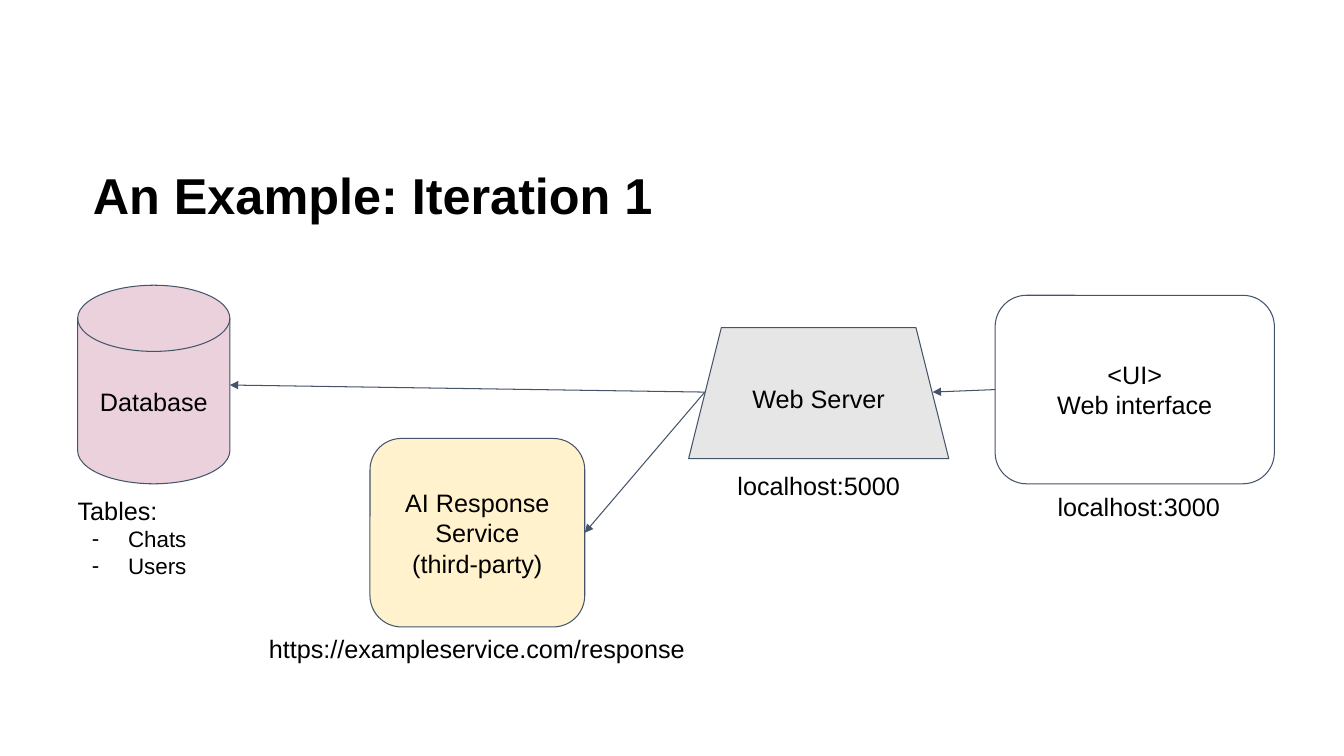
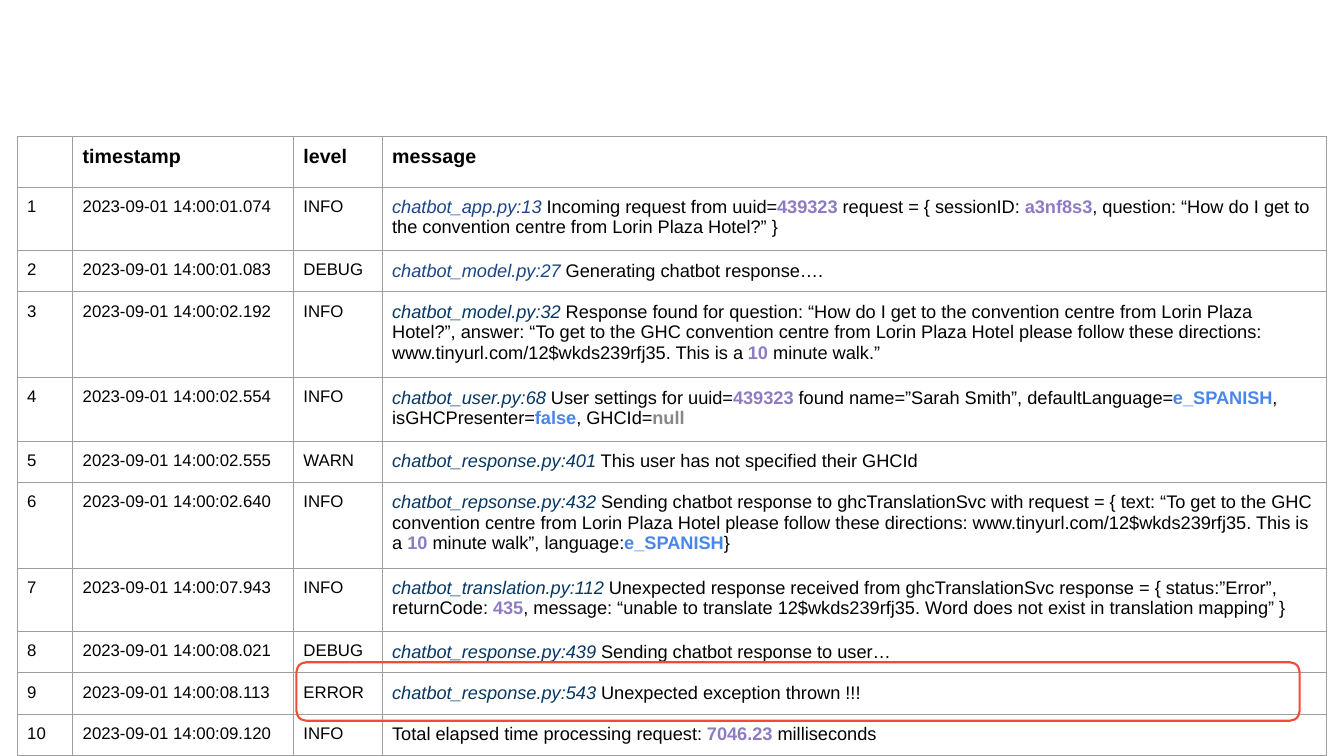
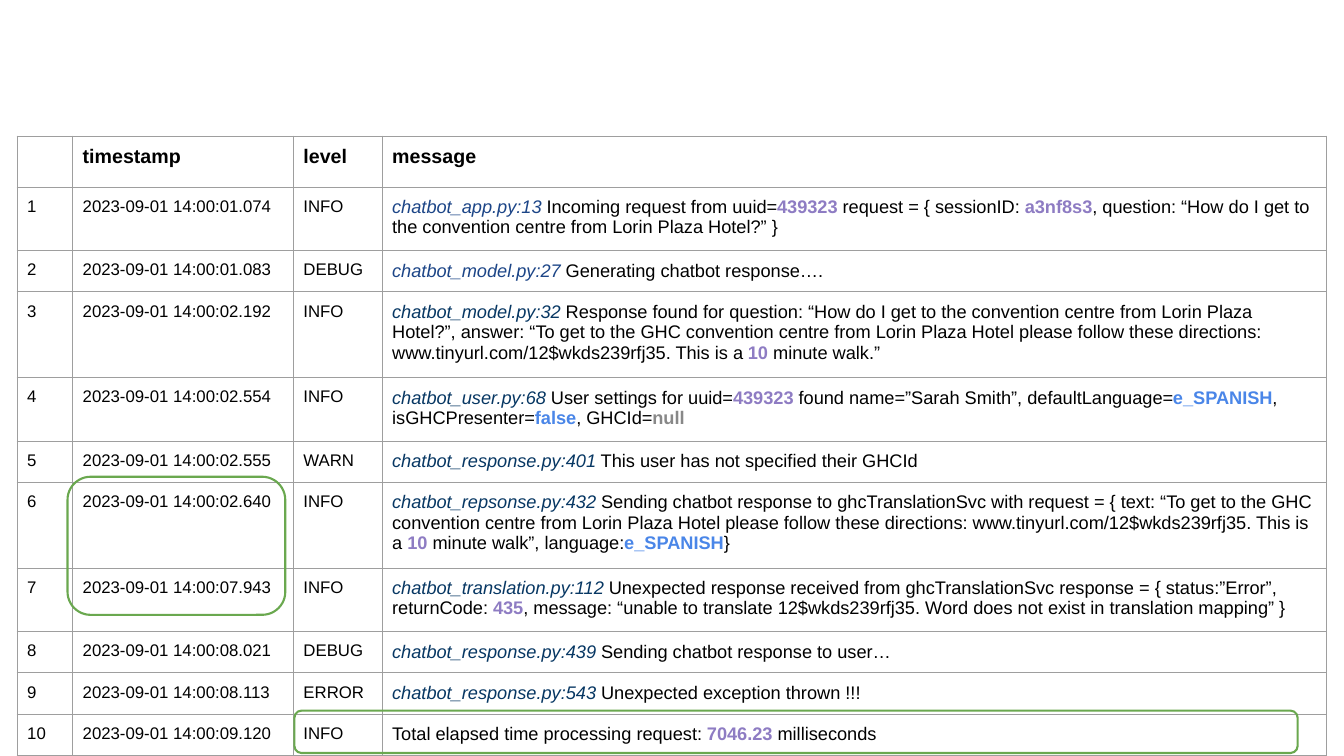
from dataclasses import dataclass
from typing import NamedTuple

from lxml import etree
from pptx import Presentation
from pptx.dml.color import RGBColor
from pptx.enum.shapes import MSO_CONNECTOR as Connector, MSO_SHAPE as Shape
from pptx.enum.text import MSO_ANCHOR as Anchor, MSO_AUTO_SIZE as AutoSize, PP_ALIGN as Align
from pptx.oxml.ns import qn
from pptx.util import Inches, Pt

FONT = "Arial"
BLACK, WHITE, SLATE, GRID = "000000", "FFFFFF", "44546A", "9E9E9E"
PINK, CREAM, SILVER = "EAD1DC", "FFF2CC", "E7E6E6"
BLUE, NAVY, PURPLE, SKY, GREY = "1C4587", "073763", "8E7CC3", "4A86E8", "888888"
RED, GREEN = "F24A38", "6AA84F"


class Area(NamedTuple):
    left: float
    top: float
    width: float
    height: float


@dataclass(frozen=True)
class Node:
    name: str
    kind: Shape
    area: Area
    fill: str
    lines: tuple[str, ...]


@dataclass(frozen=True)
class Arrow:
    start: tuple[float, float]
    end: tuple[float, float]
    begin_node: str = ""
    end_node: str = ""


@dataclass(frozen=True)
class Span:
    text: str
    color: str = BLACK
    bold: bool = False
    italic: bool = False


@dataclass(frozen=True)
class LogEntry:
    time: str
    level: str
    line_count: int
    message: tuple[Span, ...]


@dataclass(frozen=True)
class Highlight:
    area: Area
    color: str


def source(text: str, color: str = NAVY) -> Span:
    return Span(text, color, italic=True)


def number(text: str) -> Span:
    return Span(text, PURPLE, bold=True)


def constant(text: str, color: str = SKY) -> Span:
    return Span(text, color, bold=True)


NODES = (
    Node("database", Shape.FLOWCHART_MAGNETIC_DISK, Area(0.77, 2.83, 1.51, 1.97), PINK, ("Database",)),
    Node("ui", Shape.ROUNDED_RECTANGLE, Area(9.87, 2.93, 2.77, 1.87), WHITE, ("<UI>", "Web interface")),
    Node("ai", Shape.ROUNDED_RECTANGLE, Area(3.67, 4.35, 2.13, 1.87), CREAM,
         ("AI Response Service", "(third-party)")),
    Node("server", Shape.TRAPEZOID, Area(6.83, 3.25, 2.58, 1.3), SILVER, ("Web Server",)),
)
SERVER_LEFT = (6.99, 3.89)
ARROWS = (
    Arrow(SERVER_LEFT, (2.28, 3.82)),
    Arrow(SERVER_LEFT, (5.8, 5.28), end_node="ai"),
    Arrow((9.87, 3.87), (9.25, 3.89), begin_node="ui"),
)
ADDRESSES = (
    ("localhost:3000", Area(9.91, 4.87, 2.77, 1.23)),
    ("localhost:5000", Area(6.83, 4.67, 2.58, 1.23)),
    ("https://exampleservice.com/response", Area(2.36, 6.28, 4.74, 1.14)),
)

HEADINGS = ("", "timestamp", "level", "message")
COLUMN_WIDTHS = (0.55, 2.19, 0.88, 9.37)
HEADER_HEIGHT = 0.43
ROW_HEIGHTS = {1: 0.41, 2: 0.63, 3: 0.85}
LOG = (
    LogEntry("14:00:01.074", "INFO", 2, (
        source("chatbot_app.py:13", BLUE), Span(" Incoming request from uuid="), number("439323"),
        Span(" request = { sessionID: "), number("a3nf8s3"),
        Span(", question: “How do I get to the convention centre from Lorin Plaza Hotel?” }"))),
    LogEntry("14:00:01.083", "DEBUG", 1, (
        source("chatbot_model.py:27", BLUE), Span(" Generating chatbot response…."))),
    LogEntry("14:00:02.192", "INFO", 3, (
        source("chatbot_model.py:32"),
        Span(" Response found for question: “How do I get to the convention centre from Lorin Plaza "
             "Hotel?”, answer: “To get to the GHC convention centre from Lorin Plaza Hotel please "
             "follow these directions: www.tinyurl.com/12$wkds239rfj35. This is a "),
        number("10"), Span(" minute walk.”"))),
    LogEntry("14:00:02.554", "INFO", 2, (
        source("chatbot_user.py:68"), Span(" User settings for uuid="), number("439323"),
        Span(" found name=”Sarah Smith”, defaultLanguage="), constant("e_SPANISH"),
        Span(", isGHCPresenter="), constant("false"), Span(", GHCId="), constant("null", GREY))),
    LogEntry("14:00:02.555", "WARN", 1, (
        source("chatbot_response.py:401"), Span(" This user has not specified their GHCId"))),
    LogEntry("14:00:02.640", "INFO", 3, (
        source("chatbot_repsonse.py:432"),
        Span(" Sending chatbot response to ghcTranslationSvc with request = { text: “To get to the "
             "GHC convention centre from Lorin Plaza Hotel please follow these directions: "
             "www.tinyurl.com/12$wkds239rfj35. This is a "),
        number("10"), Span(" minute walk”, language:"), constant("e_SPANISH"), Span("}"))),
    LogEntry("14:00:07.943", "INFO", 2, (
        source("chatbot_translation.py:112"),
        Span(" Unexpected response received from ghcTranslationSvc response = { status:”Error”, "
             "returnCode: "),
        number("435"),
        Span(", message: “unable to translate 12$wkds239rfj35. Word does not exist in translation "
             "mapping” }"))),
    LogEntry("14:00:08.021", "DEBUG", 1, (
        source("chatbot_response.py:439 "), Span("Sending chatbot response to user…"))),
    LogEntry("14:00:08.113", "ERROR", 1, (
        source("chatbot_response.py:543 "), Span("Unexpected exception thrown !!!"))),
    LogEntry("14:00:09.120", "INFO", 1, (
        Span("Total elapsed time processing request: "), number("7046.23"), Span(" milliseconds"))),
)
LOG_SLIDES = (
    (Highlight(Area(2.94, 6.57, 9.95, 0.58), RED),),
    (Highlight(Area(2.92, 7.05, 9.95, 0.42), GREEN), Highlight(Area(0.67, 4.73, 2.16, 1.37), GREEN)),
)


def rgb(color: str) -> RGBColor:
    return RGBColor.from_string(color)


def inches(area: Area) -> tuple:
    return tuple(Inches(length) for length in area)


def set_font(font, size: float, bold: bool = False) -> None:
    font.name, font.size, font.bold = FONT, Pt(size), bold
    font.color.rgb = rgb(BLACK)


def prepare_frame(frame, anchor=Anchor.TOP) -> None:
    frame.word_wrap = True
    frame.auto_size = AutoSize.NONE
    frame.vertical_anchor = anchor
    frame.margin_left = frame.margin_top = frame.margin_right = frame.margin_bottom = 0


def write_lines(frame, lines: tuple[str, ...], align=Align.CENTER, size: float = 18) -> None:
    for index, line in enumerate(lines):
        para = frame.add_paragraph() if index else frame.paragraphs[0]
        para.text = line
        para.alignment = align
        set_font(para.font, size)


def place(box, area: Area) -> None:
    box.left, box.top, box.width, box.height = inches(area)


def add_outline(page, kind, area: Area, color: str, weight: float):
    box = page.shapes.add_shape(kind, *inches(area))
    box.shadow.inherit = False
    box.fill.background()
    box.line.color.rgb = rgb(color)
    box.line.width = Pt(weight)
    return box


def add_node(page, node: Node):
    box = add_outline(page, node.kind, node.area, SLATE, 0.75)
    box.fill.solid()
    box.fill.fore_color.rgb = rgb(node.fill)
    prepare_frame(box.text_frame, Anchor.MIDDLE)
    write_lines(box.text_frame, node.lines)
    return box


def add_arrow(page, arrow: Arrow, boxes: dict) -> None:
    ends = [Inches(length) for length in (*arrow.start, *arrow.end)]
    line = page.shapes.add_connector(Connector.STRAIGHT, *ends)
    if arrow.begin_node:
        line.begin_connect(boxes[arrow.begin_node], 1)
    if arrow.end_node:
        line.end_connect(boxes[arrow.end_node], 3)
    line.line.color.rgb = rgb(SLATE)
    line.line.width = Pt(0.75)
    etree.SubElement(line.line._get_or_add_ln(), qn("a:tailEnd"), type="triangle")
    etree.SubElement(line._element.spPr, qn("a:effectLst"))


def set_bullet(para, symbol: str = "") -> None:
    """Hang the paragraph on a bullet, or clear the inherited one."""
    props = para._p.get_or_add_pPr()
    props.set("marL", str(Inches(0.5) if symbol else 0))
    props.set("indent", str(Inches(-0.36) if symbol else 0))
    if symbol:
        etree.SubElement(props, qn("a:buChar"), char=symbol)
    else:
        etree.SubElement(props, qn("a:buNone"))


def add_table_list(body) -> None:
    place(body, Area(0.77, 4.91, 1.51, 1.69))
    frame = body.text_frame
    prepare_frame(frame)
    for index, text in enumerate(("Tables:", "Chats", "Users")):
        para = frame.add_paragraph() if index else frame.paragraphs[0]
        para.text = text
        set_bullet(para, "-" if index else "")
        para.space_before = Pt(0)
        set_font(para.font, 16 if index else 18)


def build_diagram(deck) -> None:
    page = deck.slides.add_slide(deck.slide_layouts[1])
    # Title
    title = page.shapes.title
    place(title, Area(0.92, 1.5, 11.5, 0.94))
    prepare_frame(title.text_frame, Anchor.MIDDLE)
    write_lines(title.text_frame, ("An Example: Iteration 1",), Align.LEFT)
    heading = title.text_frame.paragraphs[0]
    heading.line_spacing = 0.9
    set_font(heading.font, 36, bold=True)
    # Components and the calls between them
    boxes = {node.name: add_node(page, node) for node in NODES}
    for arrow in ARROWS:
        add_arrow(page, arrow, boxes)
    # Captions
    add_table_list(page.placeholders[1])
    for address, area in ADDRESSES:
        label = page.shapes.add_textbox(*inches(area))
        prepare_frame(label.text_frame)
        write_lines(label.text_frame, (address,))


def style_cell(cell) -> None:
    cell.margin_left = cell.margin_top = cell.margin_right = cell.margin_bottom = Inches(0.1)
    props = cell._tc.get_or_add_tcPr()
    for side in ("lnL", "lnR", "lnT", "lnB"):
        border = etree.SubElement(props, qn(f"a:{side}"), w=str(Pt(0.75)))
        fill = etree.SubElement(border, qn("a:solidFill"))
        etree.SubElement(fill, qn("a:srgbClr"), val=GRID)
    cell.fill.background()


def fill_cell(cell, spans: tuple[Span, ...], size: float, bold: bool = False) -> None:
    para = cell.text_frame.paragraphs[0]
    set_font(para.font, size, bold)
    for span in spans:
        run = para.add_run()
        run.text = span.text
        if span.color != BLACK:
            run.font.color.rgb = rgb(span.color)
        if span.bold:
            run.font.bold = True
        if span.italic:
            run.font.italic = True


def add_log_table(page) -> None:
    heights = [HEADER_HEIGHT] + [ROW_HEIGHTS[entry.line_count] for entry in LOG]
    area = Area(0.17, 1.35, sum(COLUMN_WIDTHS), sum(heights))
    table = page.shapes.add_table(len(heights), len(COLUMN_WIDTHS), *inches(area)).table
    table.first_row = table.horz_banding = False
    for column, width in zip(table.columns, COLUMN_WIDTHS):
        column.width = Inches(width)
    for row, height in zip(table.rows, heights):
        row.height = Inches(height)
    for cell in table.iter_cells():
        style_cell(cell)
    for column, heading in enumerate(HEADINGS):
        if heading:
            fill_cell(table.cell(0, column), (Span(heading),), 14, bold=True)
    for row, entry in enumerate(LOG, start=1):
        for column, text in enumerate((str(row), f"2023-09-01 {entry.time}", entry.level)):
            fill_cell(table.cell(row, column), (Span(text),), 12)
        fill_cell(table.cell(row, 3), entry.message, 13)


def build_log(deck, highlights: tuple[Highlight, ...]) -> None:
    page = deck.slides.add_slide(deck.slide_layouts[6])
    add_log_table(page)
    for highlight in highlights:
        add_outline(page, Shape.ROUNDED_RECTANGLE, highlight.area, highlight.color, 1.5)


def main() -> None:
    deck = Presentation()
    deck.slide_width, deck.slide_height = Inches(13.33), Inches(7.5)
    build_diagram(deck)
    for highlights in LOG_SLIDES:
        build_log(deck, highlights)
    deck.save("out.pptx")


if __name__ == "__main__":
    main()
